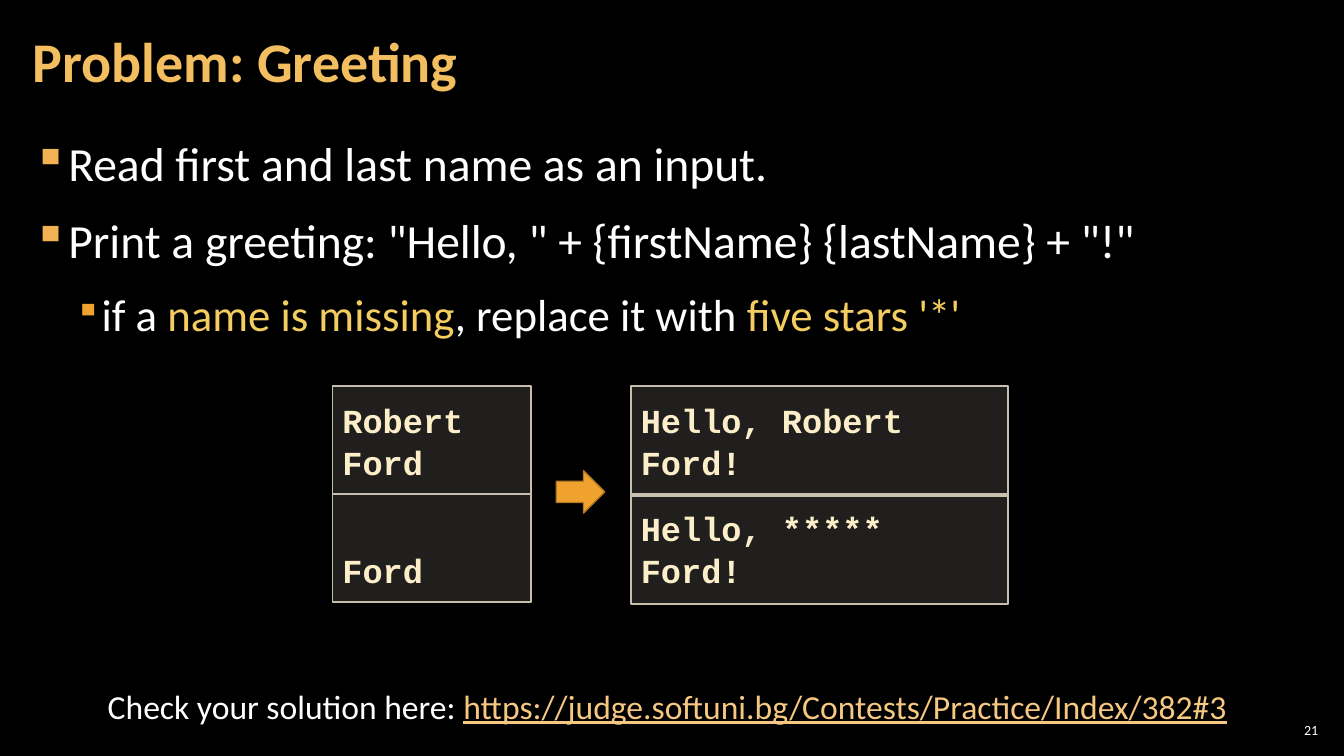
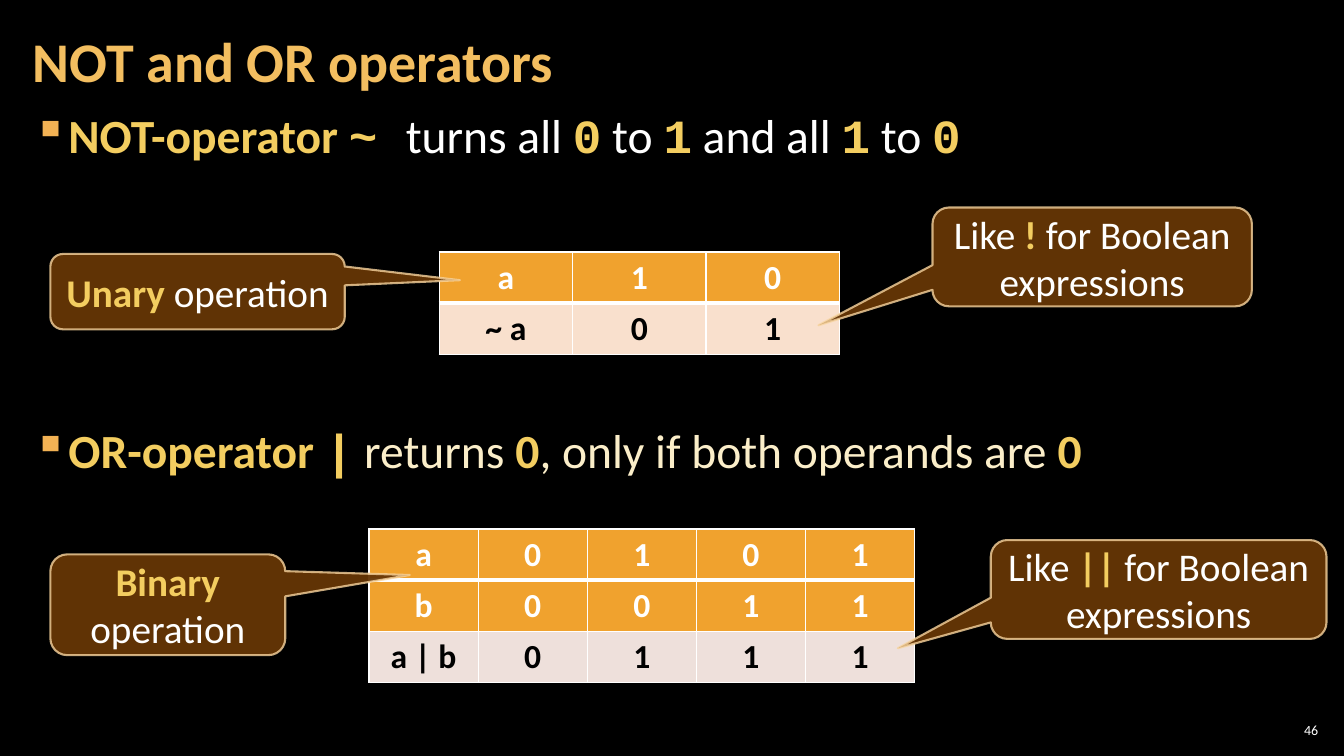
from lxml.etree import SubElement
from pptx import Presentation
from pptx.dml.color import RGBColor
from pptx.enum.shapes import MSO_SHAPE
from pptx.enum.text import MSO_ANCHOR, PP_ALIGN
from pptx.oxml.ns import qn
from pptx.util import Cm, Pt

COLORS = {
    "background": "000000", "white": "FFFFFF", "black": "000000",
    "title": "F3BE60", "accent": "F3CD60", "cream": "FBEEC9",
    "link": "F6C781", "bullet": "F2B254", "orange": "F0A22E",
    "arrow_line": "B27822", "code_fill": "D9D5C7", "code_line": "C7BFAC",
    "callout_fill": "663606", "callout_line": "F8D49E",
    "peach": "F9E0CD", "mist": "EEE0DB",
}

# Text styles
PLAIN = {"name": "Calibri", "color": "white", "bold": False}
CREAM = {**PLAIN, "color": "cream"}
ACCENT = {**PLAIN, "color": "accent"}
STRONG = {**ACCENT, "bold": True}
CODE = {**STRONG, "name": "Courier New"}
SAMPLE = {**CODE, "color": "cream"}
LINK = {**PLAIN, "color": "link", "underline": True}
TITLE = {**PLAIN, "color": "title", "bold": True}

# Paragraph and frame formats
CENTERED = {"alignment": PP_ALIGN.CENTER}
ROOMY = {"line_spacing": 1.05, "space_before": Pt(6), "space_after": Pt(6)}
TIGHT = {"line_spacing": Pt(36), "space_before": Pt(3), "space_after": Pt(6)}
SECTION = {**TIGHT, "space_before": Pt(183)}
SAMPLE_LINE = {"line_spacing": 1.05}
MIDDLE = {"vertical_anchor": MSO_ANCHOR.MIDDLE}
BOTTOM = {"vertical_anchor": MSO_ANCHOR.BOTTOM}

# Bullet levels: indent, hanging, colour, size in percent
LEVELS = [(0.84, 0.84, "bullet", 100), (1.7, 0.64, "orange", 80)]


def rgb(key):
    return RGBColor.from_string(COLORS[key])


def apply(target, values):
    for key, value in values.items():
        if key == "color":
            target.color.rgb = rgb(value)
        else:
            setattr(target, key, value)


def margins(across, down):
    return {"margin_left": Cm(across), "margin_right": Cm(across),
            "margin_top": Cm(down), "margin_bottom": Cm(down)}


# Text
def write(para, spans, size, values):
    apply(para, values)
    for text, style in spans:
        span = para.add_run()
        span.text = text
        apply(span.font, {**style, "size": Pt(size)})


def fill_frame(frame, lines, size, para_values, frame_values):
    apply(frame, {"word_wrap": True, **frame_values})
    for index, spans in enumerate(lines):
        para = frame.add_paragraph() if index else frame.paragraphs[0]
        write(para, spans, size, para_values)


def add_text(page, place, spans, size, para_values, frame_values):
    box = page.shapes.add_textbox(*map(Cm, place))
    fill_frame(box.text_frame, [spans], size, para_values, frame_values)


def add_bullet(para, level):
    indent, hanging, color, percent = LEVELS[level]
    props = para._p.get_or_add_pPr()
    props.set("marL", str(Cm(indent)))
    props.set("indent", str(-Cm(hanging)))
    SubElement(SubElement(props, qn("a:buClr")), qn("a:srgbClr"),
               val=COLORS[color])
    SubElement(props, qn("a:buSzPct"), val=str(percent * 1000))
    SubElement(props, qn("a:buChar"), char="▪")


def add_bullets(page, top, items):
    box = page.shapes.add_textbox(*map(Cm, (0.53, top, 32.79, 18.67 - top)))
    frame = box.text_frame
    apply(frame, {"word_wrap": True, **margins(0.3, 0.1)})
    for index, (level, size, values, spans) in enumerate(items):
        para = frame.add_paragraph() if index else frame.paragraphs[0]
        add_bullet(para, level)
        if not index:
            values = {**values, "space_before": Pt(0)}
        write(para, spans, size, values)


# Shapes
def set_alpha(paint, percent):
    color = next(paint.iter(qn("a:srgbClr")))
    SubElement(color, qn("a:alpha"), val=str(percent * 1000))


def add_shape(page, kind, place, fill, line, width, fill_alpha=100,
              line_alpha=100):
    shape = page.shapes.add_shape(kind, *map(Cm, place))
    shape.shadow.inherit = False
    shape.fill.solid()
    shape.fill.fore_color.rgb = rgb(fill)
    shape.line.color.rgb = rgb(line)
    shape.line.width = Pt(width)
    props = shape._element.spPr
    if fill_alpha < 100:
        set_alpha(props.find(qn("a:solidFill")), fill_alpha)
    if line_alpha < 100:
        set_alpha(props.find(qn("a:ln")), line_alpha)
    return shape


def add_sample(page, place, lines, anchor):
    shape = add_shape(page, MSO_SHAPE.RECTANGLE, place,
                      "code_fill", "code_line", 1, fill_alpha=15)
    fill_frame(shape.text_frame, [[(line, SAMPLE)] for line in lines], 24,
               {**SAMPLE_LINE, "alignment": PP_ALIGN.LEFT},
               {**margins(0.25, 0.3), "vertical_anchor": anchor})


def add_callout(page, place, tip, spans):
    shape = add_shape(page, MSO_SHAPE.ROUNDED_RECTANGULAR_CALLOUT, place,
                      "callout_fill", "callout_line", 1.5, 95, 80)
    for index, value in enumerate((*tip, 0.167)):
        shape.adjustments[index] = value
    fill_frame(shape.text_frame, [spans], 28, CENTERED, MIDDLE)


# Tables
def set_borders(cell, row):
    props = cell._tc.get_or_add_tcPr()
    widths = {"L": 1, "R": 1, "T": 3 if row == 1 else 1,
              "B": 3 if row == 0 else 1}
    for side, width in widths.items():
        line = SubElement(props, qn(f"a:ln{side}"), w=str(Pt(width)))
        SubElement(SubElement(line, qn("a:solidFill")), qn("a:srgbClr"),
                   val=COLORS["white"])


def add_truth_table(page, left, top, column_width, rows, result_fill):
    row_height, columns = 1.29, len(rows[0])
    table = page.shapes.add_table(
        len(rows), columns, Cm(left), Cm(top),
        Cm(column_width * columns), Cm(row_height * len(rows))).table
    table.horz_banding = False
    for column in table.columns:
        column.width = Cm(column_width)
    for r, values in enumerate(rows):
        table.rows[r].height = Cm(row_height)
        result = r == len(rows) - 1
        style = {**PLAIN, "bold": True,
                 "color": "black" if result else "white"}
        for c, text in enumerate(values):
            cell = table.cell(r, c)
            set_borders(cell, r)
            cell.fill.solid()
            cell.fill.fore_color.rgb = rgb(result_fill if result else "orange")
            cell.vertical_anchor = MSO_ANCHOR.MIDDLE
            write(cell.text_frame.paragraphs[0], [(text, style)], 24, CENTERED)


# Pages
def add_page(deck, title, number):
    page = deck.slides.add_slide(deck.slide_layouts[6])
    add_text(page, (0.53, 0.1, 26.59, 3.07), [(title, TITLE)], 40,
             {"line_spacing": 0.9}, {**MIDDLE, **margins(0.3, 0.1)})
    add_text(page, (32.13, 18.14, 1.19, 0.53), [(number, PLAIN)], 10,
             {"alignment": PP_ALIGN.RIGHT}, {**MIDDLE, **margins(0.1, 0.1)})
    return page


def add_greeting_page(deck):
    page = add_page(deck, "Problem: Greeting", "21")
    add_bullets(page, 3.2, [
        (0, 34, ROOMY, [("Read first and last name as an input.", PLAIN)]),
        (0, 34, ROOMY, [('Print a greeting: "Hello, " + {firstName} '
                         '{lastName} + "!"', PLAIN)]),
        (1, 32, ROOMY, [("if a ", PLAIN), ("name is missing", ACCENT),
                        (", replace it with ", PLAIN),
                        ("five stars '*'", ACCENT)]),
    ])
    # Input and output samples
    samples = [(["Robert", "Ford"], "Hello, Robert Ford!", MSO_ANCHOR.TOP),
               (["Ford"], "Hello, ***** Ford!", MSO_ANCHOR.BOTTOM)]
    for index, (names, greeting, anchor) in enumerate(samples):
        top = 9.73 + 2.72 * index
        add_sample(page, (8.38, top, 5, 2.72), names, anchor)
        add_sample(page, (15.9, top, 9.5, 2.77), [greeting], MSO_ANCHOR.TOP)
    add_shape(page, MSO_SHAPE.RIGHT_ARROW, (14.02, 11.86, 1.22, 1.07),
              "orange", "arrow_line", 1)
    add_text(page, (2.11, 17.15, 29.41, 1.27),
             [("Check your solution here: ", PLAIN),
              ("https://judge.softuni.bg/Contests/Practice/Index/382#3", LINK)],
             24, CENTERED, {})


def add_operators_page(deck):
    page = add_page(deck, "NOT and OR operators", "46")
    add_bullets(page, 2.74, [
        (0, 34, TIGHT, [("NOT-operator ", STRONG), ("~ ", CODE),
                        ("turns all ", PLAIN), ("0", CODE), (" to ", PLAIN),
                        ("1", CODE), (" and all ", PLAIN), ("1", CODE),
                        (" to ", PLAIN), ("0", CODE)]),
        (0, 34, SECTION, [("OR-operator ", STRONG), ("|", CODE),
                          (" returns ", CREAM), ("0", STRONG),
                          (", only if both operands are ", CREAM),
                          ("0", STRONG)]),
    ])
    # Truth tables
    add_truth_table(page, 11.07, 6.35, 3.36, ["a10", ["~ a", "0", "1"]],
                    "peach")
    add_truth_table(page, 9.3, 13.33, 2.75,
                    ["a0101", "b0011", ["a | b", *"0111"]], "mist")
    # Callouts
    for place, tip, word in [
            ((1.27, 6.4, 7.42, 1.9), (0.891, -0.152), "Unary "),
            ((1.27, 13.97, 5.92, 2.54), (1.03, -0.295), "Binary ")]:
        add_callout(page, place, tip, [(word, STRONG), ("operation", PLAIN)])
    for place, tip, sign in [
            ((23.5, 5.23, 8.05, 2.49), (-0.857, 0.692), "! "),
            ((24.97, 13.61, 8.46, 2.49), (-0.777, 0.595), "|| ")]:
        add_callout(page, place, tip, [("Like ", PLAIN), (sign, STRONG),
                                       ("for Boolean expressions", PLAIN)])


def main():
    deck = Presentation()
    apply(deck, {"slide_width": Cm(33.87), "slide_height": Cm(19.05)})
    backdrop = deck.slide_master.background.fill
    backdrop.solid()
    backdrop.fore_color.rgb = rgb("background")
    add_greeting_page(deck)
    add_operators_page(deck)
    deck.save("out.pptx")


if __name__ == "__main__":
    main()
